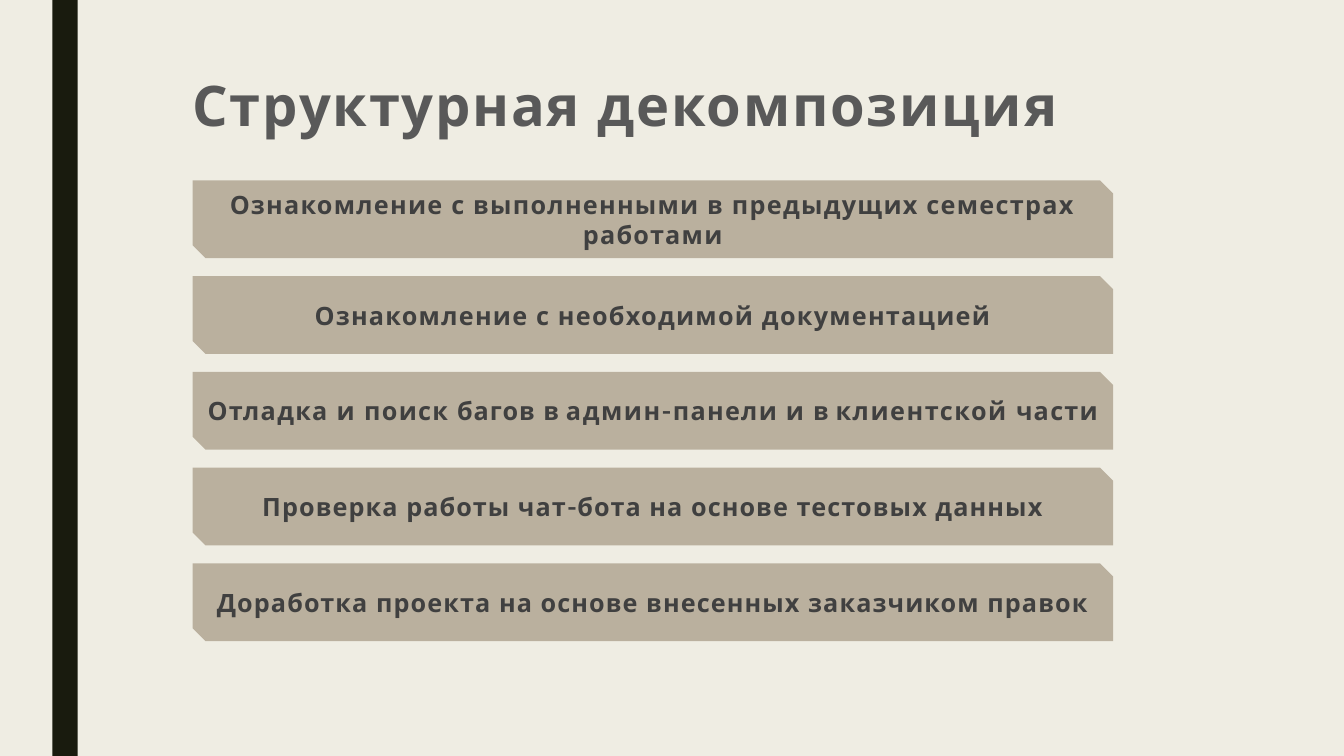
import pptx
import pptx.dml.color
import pptx.enum.shapes
import pptx.enum.text
import pptx.util

SHAPE = pptx.enum.shapes.MSO_SHAPE
ANCHOR = pptx.enum.text.MSO_ANCHOR
ALIGN = pptx.enum.text.PP_ALIGN
Inches = pptx.util.Inches
Pt = pptx.util.Pt

LEFT = 1.91
STEP_TOP, STEP_PITCH = 1.79, 0.95
STEP_WIDTH, STEP_HEIGHT = 9.13, 0.77

# Each step is a list of (text, letter spacing in points).
STEPS = [
    [("Ознакомление с выполненными в предыдущих семестрах работами", 0.9)],
    [("Ознакомление с необходимой документацией", 0.9)],
    [("Отладка ", 0.9), ("и ", 1.1), ("поиск ", 0.9), ("багов ", 0.7), ("в ", 0.1),
     ("админ-", 1.1), ("панели и ", 0.9), ("в ", 0.1), ("клиентской ", 1.1), ("части", 0.9)],
    [("Проверка работы чат-бота на основе тестовых данных", 0.8)],
    [("Доработка проекта на основе внесенных заказчиком правок", 0.8)],
]


def rgb(color):
    return pptx.dml.color.RGBColor.from_string(color)


def write(sp, runs, size, color, align, before):
    """Fill a shape with one bold paragraph of letter-spaced runs."""
    tf = sp.text_frame
    tf.word_wrap = True
    tf.margin_left = tf.margin_top = tf.margin_right = tf.margin_bottom = 0
    p = tf.paragraphs[0]
    p.alignment = align
    p.space_before = Pt(before)
    p.font.name = "Karla"
    p.font.size = Pt(size)
    p.font.bold = True
    p.font.color.rgb = rgb(color)
    for text, spacing in runs:
        r = p.add_run()
        r.text = text
        r.font._element.set("spc", str(round(spacing * 100)))
    return tf


def add_block(slide, kind, left, top, width, height, fill):
    sp = slide.shapes.add_shape(kind, Inches(left), Inches(top), Inches(width), Inches(height))
    sp.shadow.inherit = False
    sp.fill.solid()
    sp.fill.fore_color.rgb = rgb(fill)
    sp.line.fill.background()
    return sp


def add_title(slide, text):
    sp = slide.shapes.add_textbox(Inches(LEFT), Inches(0.75), Inches(9.58), Inches(0.62))
    tf = write(sp, [(text, 1.3)], 40, "595959", ALIGN.LEFT, 1.2)
    tf.margin_top = Inches(0.02)
    tf.auto_size = pptx.enum.text.MSO_AUTO_SIZE.SHAPE_TO_FIT_TEXT
    tf.paragraphs[0].line_spacing = 0.9


def add_step(slide, row, runs):
    sp = add_block(slide, SHAPE.SNIP_2_DIAG_RECTANGLE, LEFT, STEP_TOP + row * STEP_PITCH,
                   STEP_WIDTH, STEP_HEIGHT, "BAB09E")
    tf = write(sp, runs, 18, "404040", ALIGN.CENTER, 0.9)
    tf.vertical_anchor = ANCHOR.MIDDLE


def main():
    prs = pptx.Presentation()
    prs.slide_width, prs.slide_height = Inches(13.33), Inches(7.5)
    slide = prs.slides.add_slide(prs.slide_layouts[6])
    slide.background.fill.solid()
    slide.background.fill.fore_color.rgb = rgb("EFEDE3")
    add_block(slide, SHAPE.RECTANGLE, 0.52, 0, 0.25, 7.5, "191B0E")
    add_title(slide, "Структурная декомпозиция")
    for row, runs in enumerate(STEPS):
        add_step(slide, row, runs)
    prs.save("out.pptx")


if __name__ == "__main__":
    main()
